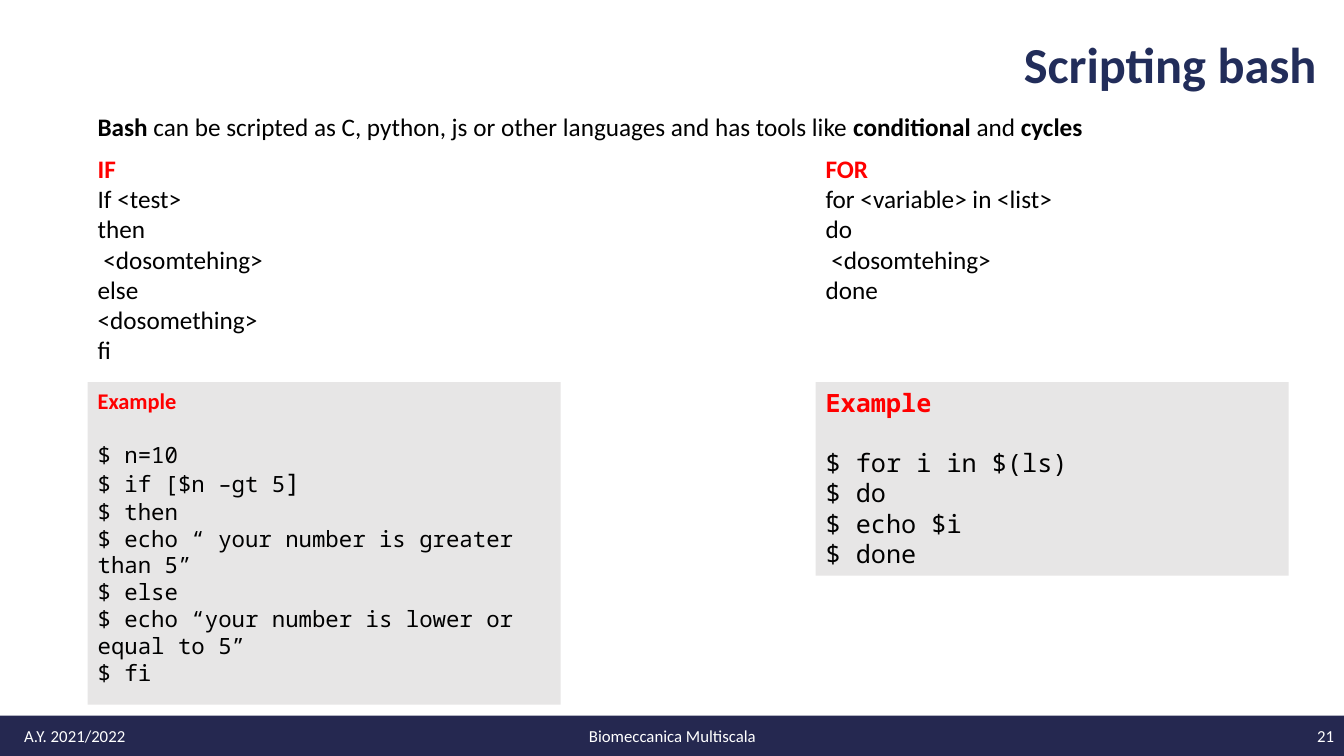
from pptx import Presentation
from pptx.dml.color import RGBColor
from pptx.enum.shapes import MSO_SHAPE
from pptx.enum.text import MSO_ANCHOR, MSO_AUTO_SIZE, PP_ALIGN
from pptx.util import Inches, Pt

RECTANGLE = MSO_SHAPE.RECTANGLE
TOP, MIDDLE = MSO_ANCHOR.TOP, MSO_ANCHOR.MIDDLE
LEFT, CENTER, RIGHT = PP_ALIGN.LEFT, PP_ALIGN.CENTER, PP_ALIGN.RIGHT
NO_FIT = MSO_AUTO_SIZE.NONE

NAVY = RGBColor(0x22, 0x2D, 0x5A)
FOOTER_NAVY = RGBColor(0x25, 0x28, 0x50)
RED = RGBColor(0xFF, 0, 0)
BLACK = RGBColor(0, 0, 0)
WHITE = RGBColor(0xFF, 0xFF, 0xFF)
GRAY = RGBColor(0xE7, 0xE6, 0xE6)
SANS, MONO = "Calibri", "Noto Sans Mono"

TITLE = "Scripting bash"
INTRO = [
    ("Bash", {"bold": True}),
    " can be scripted as C, python, js or other languages and has tools like ",
    ("conditional ", {"bold": True}),
    "and ",
    ("cycles", {"bold": True}),
]
TOPICS = [
    {
        "heading": "IF",
        "syntax": ["If <test>", "then", " <dosomtehing>", "else", "<dosomething>", "fi"],
        "syntax_size": (1.98, 2.22),
        "example": [
            "$ n=10",
            ["$ if [$n –gt 5", ("]", {"size": 18})],
            "$ then",
            "$ echo “ your number is greater than 5”",
            "$ else",
            "$ echo “your number is lower or equal to 5”",
            "$ fi",
        ],
        "example_height": 3.2,
        "label_font": SANS,
        "code_size": 16,
    },
    {
        "heading": "FOR",
        "syntax": ["for <variable> in <list>", "do", " <dosomtehing>", "done"],
        "syntax_size": (3.57, 1.62),
        "example": ["$ for i in $(ls)", "$ do", "$ echo $i", "$ done"],
        "example_height": 1.92,
        "label_font": MONO,
        "code_size": 18,
    },
]
FOOTERS = [
    ("A.Y. 2021/2022", 0.14, 3, LEFT),
    ("Biomeccanica Multiscala", 4.42, 4.5, CENTER),
    ("21", 10.33, 3, RIGHT),
]

WIDTH, HEIGHT = 13.33, 7.5
MARGIN, COLUMN_STEP, PANEL_WIDTH = 0.87, 7.22, 4.69
INTRO_TOP, SYNTAX_TOP, EXAMPLE_TOP = 1.06, 1.47, 3.79
FOOTER_HEIGHT = 0.4
FOOTER_TOP = HEIGHT - FOOTER_HEIGHT

deck = Presentation()
deck.slide_width, deck.slide_height = Inches(WIDTH), Inches(HEIGHT)
page = deck.slides.add_slide(deck.slide_layouts[5])


def place(left, top, width, height, fill=None):
    area = [Inches(value) for value in (left, top, width, height)]
    if fill is None:
        return page.shapes.add_textbox(*area)
    box = page.shapes.add_shape(RECTANGLE, *area)
    box.shadow.inherit = False
    box.fill.solid()
    box.fill.fore_color.rgb = fill
    box.line.fill.background()
    return box


def write(box, content, size=18, font=SANS, color=BLACK, bold=False, align=LEFT,
          anchor=TOP, spacing=None, after=0, append=False):
    frame = box.text_frame
    frame.word_wrap = True
    frame.auto_size = NO_FIT
    frame.vertical_anchor = anchor
    para = frame.add_paragraph() if append else frame.paragraphs[0]
    para.alignment = align
    para.space_after = Pt(after)
    if spacing:
        para.line_spacing = spacing
    for part in [content] if isinstance(content, str) else content:
        text, changes = (part, {}) if isinstance(part, str) else part
        span = para.add_run()
        span.text = text
        span.font.name = font
        span.font.size = Pt(changes.get("size", size))
        span.font.bold = changes.get("bold", bold)
        span.font.color.rgb = color


place(0, FOOTER_TOP, WIDTH, FOOTER_HEIGHT, fill=FOOTER_NAVY)
for text, left, width, align in FOOTERS:
    write(place(left, FOOTER_TOP, width, FOOTER_HEIGHT), text, size=12,
          color=WHITE, align=align, anchor=MIDDLE)

title = page.shapes.title
title.left, title.top = Inches(3.14), Inches(0.35)
title.width, title.height = Inches(10.02), Inches(0.67)
write(title, TITLE, size=36, color=NAVY, bold=True, align=RIGHT, spacing=0.9)

write(place(MARGIN, INTRO_TOP, 10.17, 0.4), INTRO)

for column, topic in enumerate(TOPICS):
    left = MARGIN + column * COLUMN_STEP
    syntax = place(left, SYNTAX_TOP, *topic["syntax_size"])
    write(syntax, topic["heading"], color=RED, bold=True)
    for line in topic["syntax"]:
        write(syntax, line, append=True)

    size = topic["code_size"]
    example = place(left, EXAMPLE_TOP, PANEL_WIDTH, topic["example_height"], fill=GRAY)
    write(example, "Example", size=size, font=topic["label_font"], color=RED,
          bold=True, after=1.2 * size)
    for line in topic["example"]:
        write(example, line, size=size, font=MONO, append=True)

deck.save("out.pptx")
